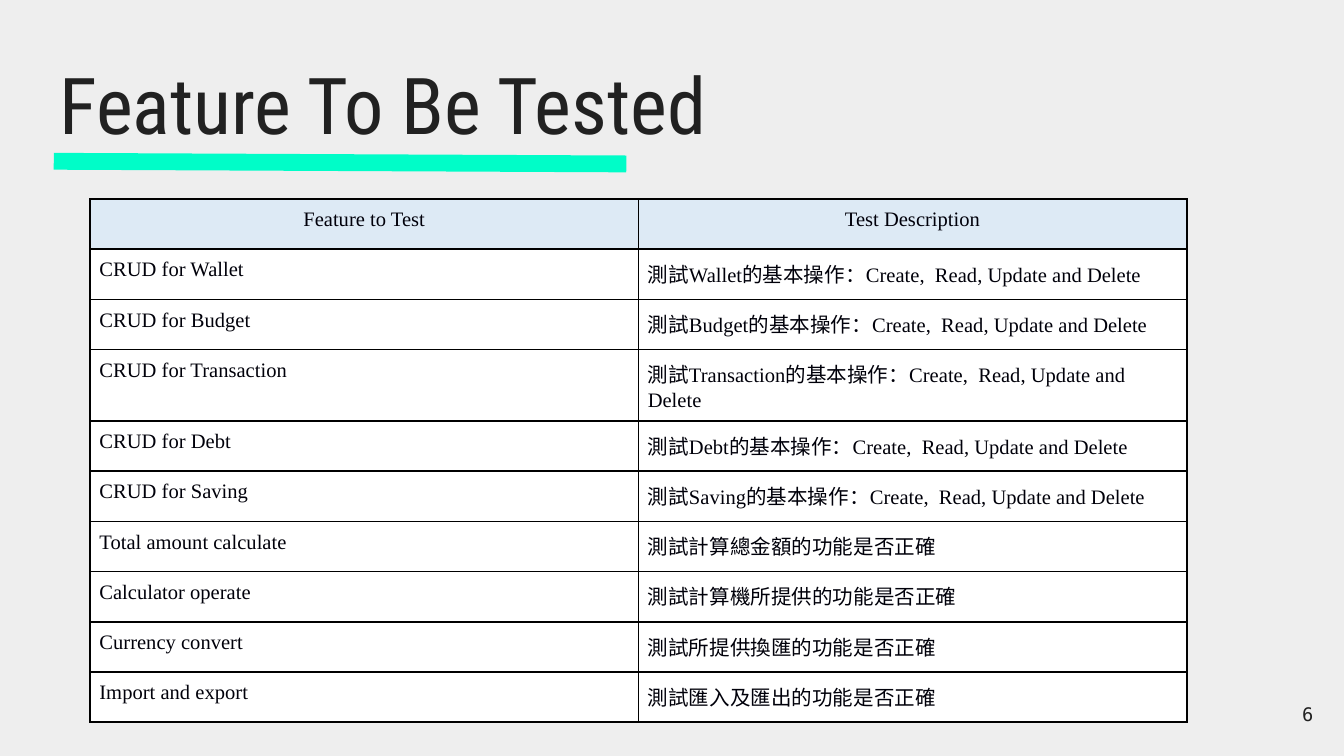
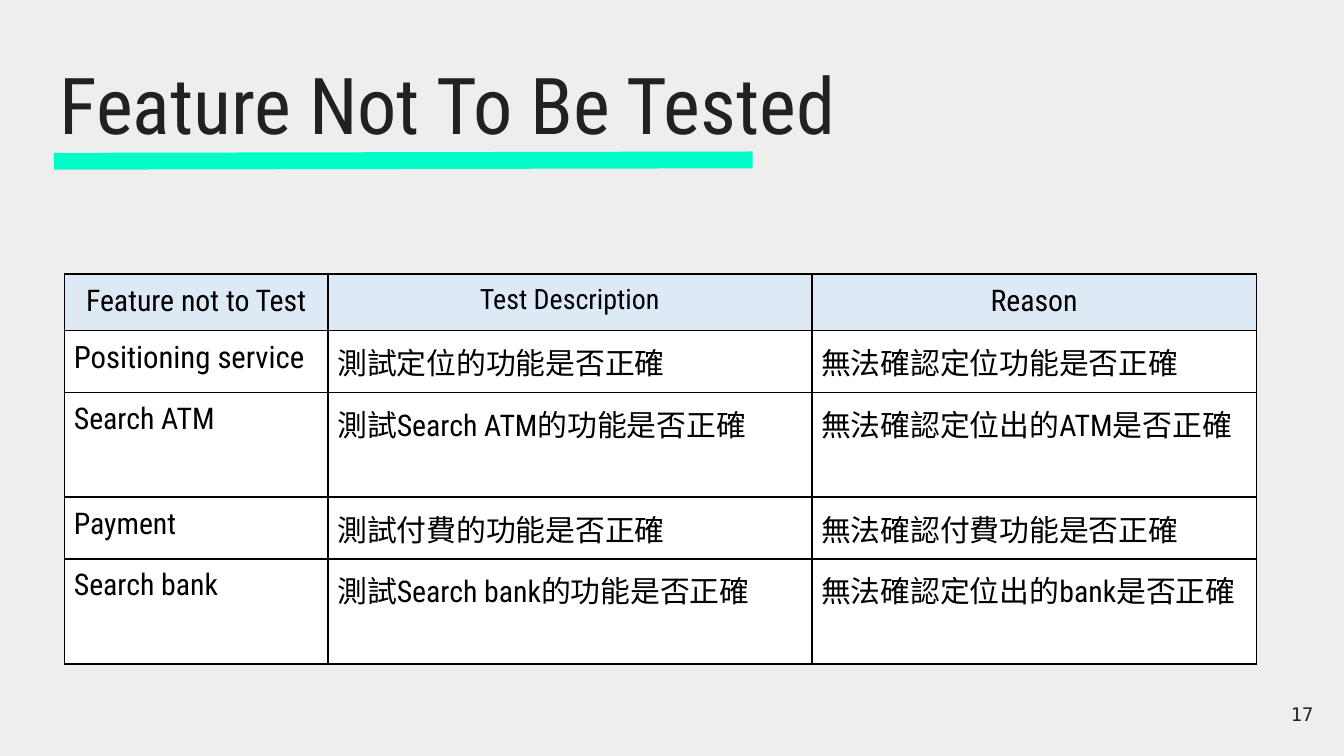
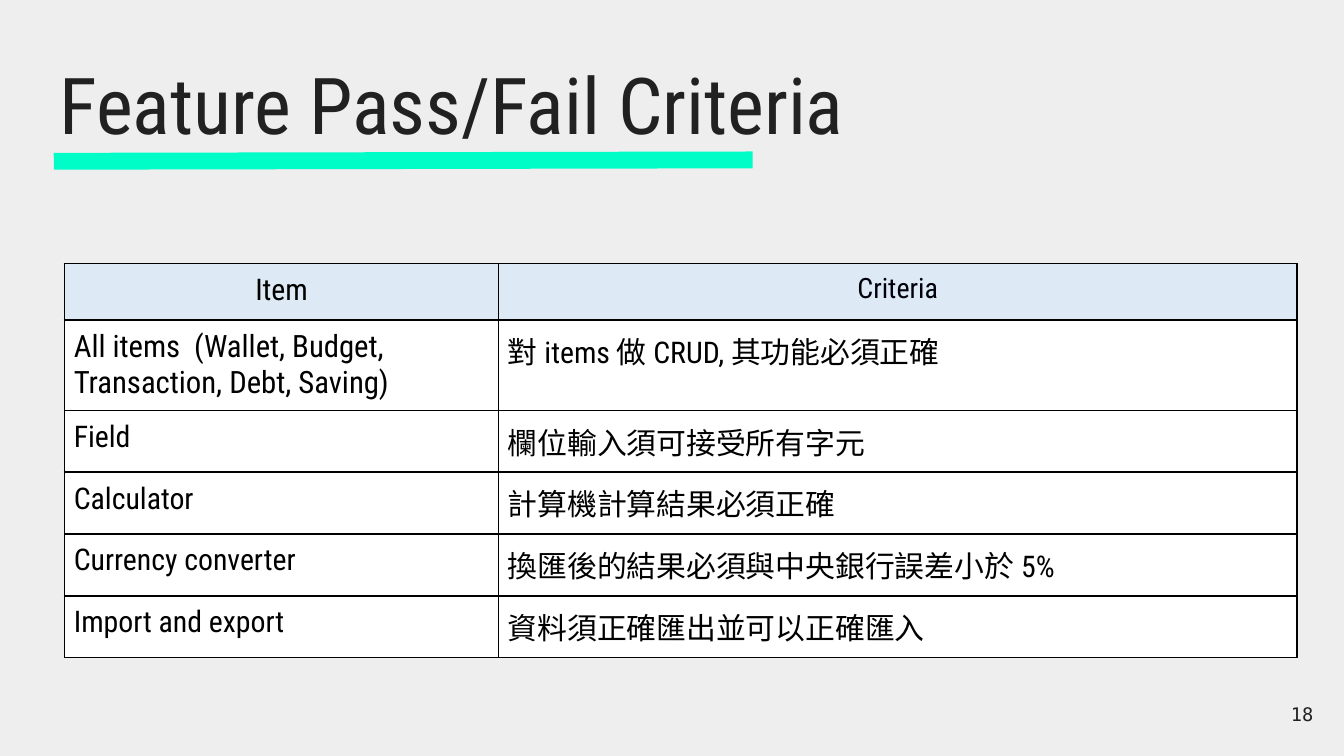
from lxml import etree
from pptx import Presentation
from pptx import util as u
from pptx.dml.color import RGBColor
from pptx.enum import shapes, text
from pptx.oxml import ns

PAPER, INK, ACCENT = "EEEEEE", "212121", "00FDC8"
HEADER, BODY, BORDER, TABLE_INK = "DDEAF5", "FFFFFF", "000000", "00000A"
CONDENSED, SERIF, MONO = "Roboto Condensed", "Times New Roman", "DejaVu Sans Mono"
MIXED_SIZES = {(0, 1): 15, (1, 0): 16.5}


def rgb(hex_color):
    return RGBColor.from_string(hex_color)


def place(part, box):
    part.left, part.top, part.width, part.height = map(u.Inches, box)


def style(paragraph, font_name, size, color, align=text.PP_ALIGN.LEFT):
    paragraph.alignment = align
    for run in paragraph.runs:
        run.font.name = font_name
        run.font.size = u.Pt(size)
        run.font.color.rgb = rgb(color)


def set_frame(frame, inset, anchor):
    frame.word_wrap = True
    frame.auto_size = text.MSO_AUTO_SIZE.NONE
    frame.margin_left = frame.margin_right = u.Inches(inset)
    frame.margin_top = frame.margin_bottom = u.Inches(inset)
    frame.vertical_anchor = anchor


def add_heading(slide, box, wording, underline_end):
    title = slide.shapes.title
    place(title, box)
    title.text_frame.text = wording
    set_frame(title.text_frame, 0.1, text.MSO_ANCHOR.TOP)
    style(title.text_frame.paragraphs[0], CONDENSED, 42, INK)

    left, top, _, height = box
    end_x, end_y = underline_end
    underline = slide.shapes.add_connector(
        shapes.MSO_CONNECTOR.STRAIGHT, u.Inches(left + 0.06), u.Inches(top + height),
        u.Inches(end_x), u.Inches(end_y))
    underline.line.color.rgb = rgb(ACCENT)
    underline.line.width = u.Pt(9)
    etree.SubElement(underline._element.spPr, ns.qn("a:effectLst"))


def add_page_number(slide, box, number):
    page = slide.shapes.add_textbox(*map(u.Inches, box))
    page.text_frame.text = str(number)
    set_frame(page.text_frame, 0.1, text.MSO_ANCHOR.MIDDLE)
    style(page.text_frame.paragraphs[0], MONO, 10, INK, text.PP_ALIGN.RIGHT)


def add_borders(cell):
    properties = cell._tc.get_or_add_tcPr()
    for side in ("lnL", "lnR", "lnT", "lnB"):
        edge = etree.SubElement(properties, ns.qn(f"a:{side}"), w=str(u.Pt(1)))
        fill = etree.SubElement(edge, ns.qn("a:solidFill"))
        etree.SubElement(fill, ns.qn("a:srgbClr"), val=BORDER)


def add_grid(slide, origin, columns, row_height, rows, font_name, size, color, sizes):
    left, top = origin
    grid = slide.shapes.add_table(
        len(rows), len(columns), u.Inches(left), u.Inches(top),
        u.Inches(sum(columns)), u.Inches(row_height * len(rows))).table
    grid.first_row = grid.horz_banding = False
    for column, width in zip(grid.columns, columns):
        column.width = u.Inches(width)
    for r, wordings in enumerate(rows):
        grid.rows[r].height = u.Inches(row_height)
        for c, wording in enumerate(wordings):
            cell = grid.cell(r, c)
            cell.text_frame.text = wording
            cell.margin_left = cell.margin_right = u.Inches(0.07)
            cell.margin_top = cell.margin_bottom = u.Inches(0.07)
            add_borders(cell)
            cell.fill.solid()
            cell.fill.fore_color.rgb = rgb(BODY if r else HEADER)
            cell_size = sizes.get((r, c), size)
            style(cell.text_frame.paragraphs[0], font_name, cell_size,
                  TABLE_INK if cell_size == 15 else color,
                  text.PP_ALIGN.LEFT if r else text.PP_ALIGN.CENTER)


def add_table_slide(deck, title, underline_end, number, origin, columns, rows,
                    row_height=0.42, font_name=CONDENSED, size=16, color=BORDER,
                    sizes=MIXED_SIZES):
    slide = deck.slides.add_slide(deck.slide_layouts[5])
    add_heading(slide, (0.34, 0.32, 9.32, 0.88), title, underline_end)
    add_page_number(slide, (9.27, 5.1, 0.6, 0.43), number)
    add_grid(slide, origin, columns, row_height, rows, font_name, size, color, sizes)


def main():
    deck = Presentation()
    deck.slide_width, deck.slide_height = u.Inches(10), u.Inches(10 * 9 / 16)
    paper = deck.slide_master.background.fill
    paper.solid()
    paper.fore_color.rgb = rgb(PAPER)

    crud_rows = [
        (f"CRUD for {item}", f"測試{item}的基本操作：Create,  Read, Update and Delete")
        for item in ("Wallet", "Budget", "Transaction", "Debt", "Saving")]
    add_table_slide(
        deck, "Feature To Be Tested", (4.66, 1.22), 6, (0.67, 1.48), (4.08, 4.08),
        [("Feature to Test", "Test Description"),
         *crud_rows,
         ("Total amount calculate", "測試計算總金額的功能是否正確"),
         ("Calculator operate", "測試計算機所提供的功能是否正確"),
         ("Currency convert", "測試所提供換匯的功能是否正確"),
         ("Import and export", "測試匯入及匯出的功能是否正確")],
        row_height=3.74 / 10, font_name=SERIF, size=11, color=TABLE_INK, sizes={})

    add_table_slide(
        deck, "Feature Not To Be Tested", (5.6, 1.19), 17, (0.48, 2.04), (1.96, 3.6, 3.31),
        [("Feature not to Test", "Test Description", "Reason"),
         ("Positioning service", "測試定位的功能是否正確", "無法確認定位功能是否正確"),
         ("Search ATM", "測試Search ATM的功能是否正確", "無法確認定位出的ATM是否正確"),
         ("Payment", "測試付費的功能是否正確", "無法確認付費功能是否正確"),
         ("Search bank", "測試Search bank的功能是否正確", "無法確認定位出的bank是否正確")])

    add_table_slide(
        deck, "Feature Pass/Fail Criteria", (5.6, 1.19), 18, (0.48, 1.96), (3.23, 5.94),
        [("Item", "Criteria"),
         ("All items  (Wallet, Budget, Transaction, Debt, Saving)",
          "對 items 做 CRUD, 其功能必須正確"),
         ("Field", "欄位輸入須可接受所有字元"),
         ("Calculator", "計算機計算結果必須正確"),
         ("Currency converter", "換匯後的結果必須與中央銀行誤差小於 5%"),
         ("Import and export", "資料須正確匯出並可以正確匯入")])

    deck.save("out.pptx")


if __name__ == "__main__":
    main()
